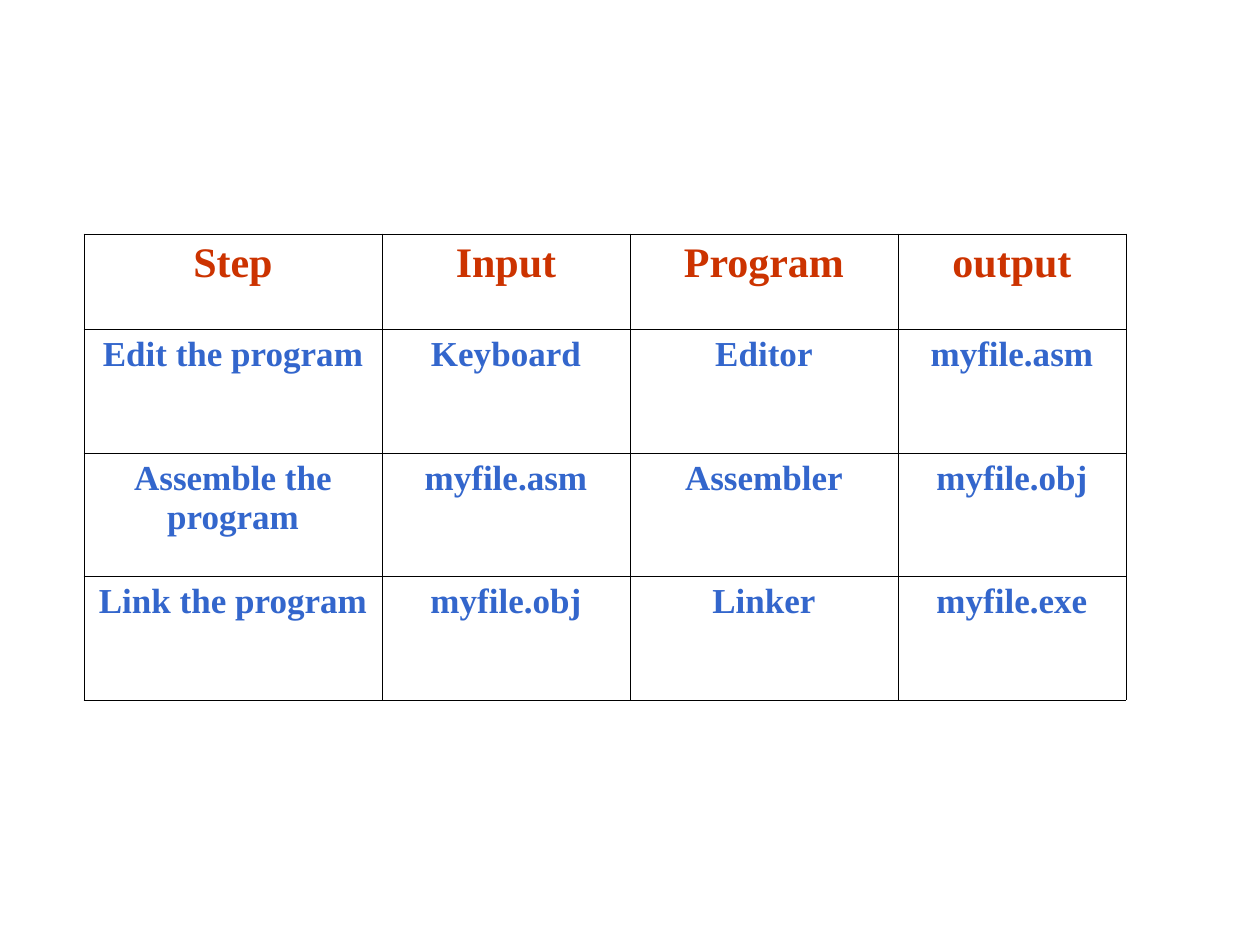
import pptx
import pptx.dml.color
import pptx.enum.text
import pptx.oxml
import pptx.oxml.ns
import pptx.util

ROWS = [
    ("Step", "Input", "Program", "output"),
    ("Edit the program", "Keyboard", "Editor", "myfile.asm"),
    ("Assemble the program", "myfile.asm", "Assembler", "myfile.obj"),
    ("Link the program", "myfile.obj", "Linker", "myfile.exe"),
]
COLUMN_WIDTHS = (298, 248, 268, 228)
ROW_HEIGHTS = (95, 124, 123, 124)
LEFT, TOP = 84, 234
SLIDE_SIZE = (1260, 945)
COLORS = {"heading": "CC3300", "body": "3366CC", "border": "000000"}
FONT_SIZES = {"heading": 24, "body": 20}
BORDER_WIDTH = pptx.util.Pt(0.45)
EMU_PER_PX = 914400 // 126


def px(length):
    return pptx.util.Emu(length * EMU_PER_PX)


def add_borders(cell):
    properties = cell._tc.get_or_add_tcPr()
    for position, side in enumerate(("lnL", "lnR", "lnT", "lnB")):
        # Border lines must come before the fill in the cell properties.
        properties.insert(position, pptx.oxml.parse_xml(
            f'<a:{side} {pptx.oxml.ns.nsdecls("a")} w="{BORDER_WIDTH}">'
            f'<a:solidFill><a:srgbClr val="{COLORS["border"]}"/></a:solidFill>'
            f'</a:{side}>'))


def fill_cell(cell, text, role):
    cell.fill.background()
    add_borders(cell)
    paragraph = cell.text_frame.paragraphs[0]
    paragraph.alignment = pptx.enum.text.PP_ALIGN.CENTER
    run = paragraph.add_run()
    run.text = text
    font_format = {
        "name": "Times New Roman",
        "size": pptx.util.Pt(FONT_SIZES[role]),
        "bold": True,
    }
    for attribute, value in font_format.items():
        setattr(run.font, attribute, value)
    run.font.color.rgb = pptx.dml.color.RGBColor.from_string(COLORS[role])


def main():
    presentation = pptx.Presentation()
    presentation.slide_width, presentation.slide_height = map(px, SLIDE_SIZE)
    slide = presentation.slides.add_slide(presentation.slide_layouts[6])

    table = slide.shapes.add_table(
        len(ROWS), len(COLUMN_WIDTHS), px(LEFT), px(TOP),
        px(sum(COLUMN_WIDTHS)), px(sum(ROW_HEIGHTS))).table
    table.horz_banding = False
    table.first_row = False
    for column, width in zip(table.columns, COLUMN_WIDTHS):
        column.width = px(width)
    for row, height in zip(table.rows, ROW_HEIGHTS):
        row.height = px(height)

    for row_index, texts in enumerate(ROWS):
        role = "body" if row_index else "heading"
        for column_index, text in enumerate(texts):
            fill_cell(table.cell(row_index, column_index), text, role)

    presentation.save("out.pptx")


if __name__ == "__main__":
    main()
